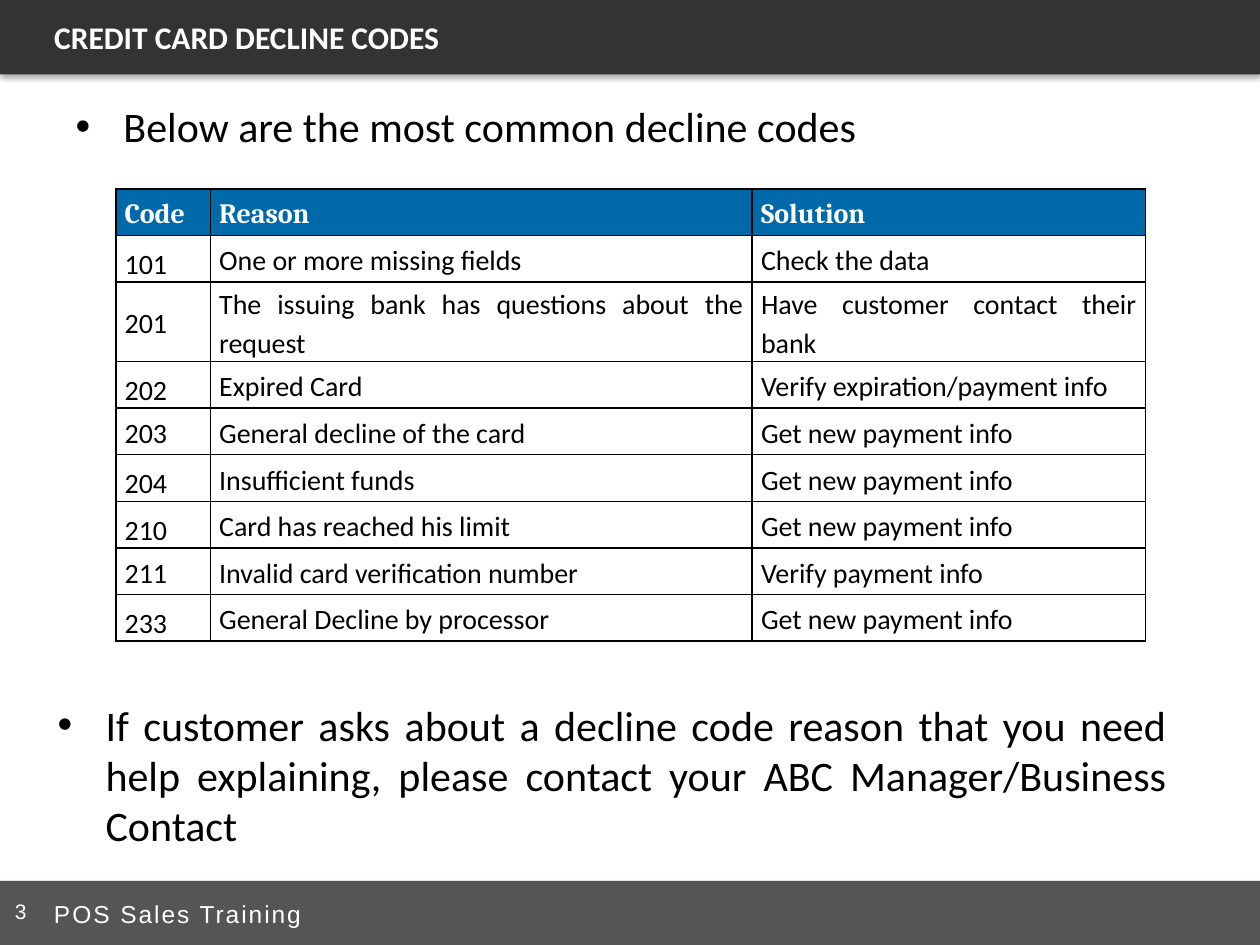
import pptx
import pptx.util
import pptx.dml.color
import pptx.enum.shapes
import pptx.enum.text
import pptx.oxml
import pptx.oxml.ns

Inches, Pt = pptx.util.Inches, pptx.util.Pt
ANCHOR = pptx.enum.text.MSO_ANCHOR
ALIGN = pptx.enum.text.PP_ALIGN
NS = pptx.oxml.ns.nsdecls("a")

TITLE = "CREDIT CARD DECLINE CODES"
INTRO = "Below are the most common decline codes"
CLOSING = ("If customer asks about a decline code reason that you need help "
           "explaining, please contact your ABC Manager/Business Contact")
FOOTER = "POS Sales Training"
NUMBER = "3"
ROWS = [
    ("Code", "Reason", "Solution"),
    ("101", "One or more missing fields", "Check the data"),
    ("201", "The issuing bank has questions about the request",
     "Have customer contact their bank"),
    ("202", "Expired Card", "Verify expiration/payment info"),
    ("203", "General decline of the card", "Get new payment info"),
    ("204", "Insufficient funds", "Get new payment info"),
    ("210", "Card has reached his limit", "Get new payment info"),
    ("211", "Invalid card verification number", "Verify payment info"),
    ("233", "General Decline by processor", "Get new payment info"),
]
COL_WIDTHS = [0.75, 4.3, 3.12]
ROW_HEIGHT, TALL_ROW_HEIGHT = 0.37, 0.63
BOTTOM_CELLS = {(1, 0), (2, 2), (3, 0), (5, 0), (6, 0), (8, 0)}
BARS = [(0, 0.59, "333333"), (6.99, 0.51, "555555")]

HEAD = dict(name="Cambria", size=Pt(16), bold=True)
CELL = dict(name="Calibri", size=Pt(16), bold=False)
HEADING = dict(name="Calibri", size=Pt(18), bold=True)
BULLET = dict(name="Calibri", size=Pt(24), bold=False)
FOOT = dict(name="Arial", size=Pt(14))
PAGE = dict(name="Arial", size=Pt(12))


def rgb(value):
    return pptx.dml.color.RGBColor.from_string(value)


def apply(obj, values):
    for name, value in values.items():
        setattr(obj, name, value)


def place(sp, *box):
    apply(sp, dict(zip(("left", "top", "width", "height"), map(Inches, box))))


def write(tf, text, font, color, anchor=ANCHOR.TOP, **para):
    apply(tf, dict(word_wrap=True, vertical_anchor=anchor))
    p = tf.paragraphs[0]
    apply(p, para)
    r = p.add_run()
    r.text = text
    apply(r.font, font)
    r.font.color.rgb = rgb(color)
    return r


def write_bullet(sp, text):
    sp.text_frame.auto_size = pptx.enum.text.MSO_AUTO_SIZE.NONE
    write(sp.text_frame, text, BULLET, "000000",
          alignment=ALIGN.JUSTIFY, space_before=Pt(4.8))
    pPr = sp.text_frame.paragraphs[0]._p.get_or_add_pPr()
    pPr.set("marL", str(Inches(0.38)))
    pPr.set("indent", str(-Inches(0.38)))
    for xml in ('<a:buFont %s typeface="Arial"/>', '<a:buChar %s char="•"/>'):
        pPr.append(pptx.oxml.parse_xml(xml % NS))


def add_bar(s, index, top, height, color):
    sp = s.shapes.add_shape(pptx.enum.shapes.MSO_SHAPE.RECTANGLE, 0,
                            Inches(top), Inches(10), Inches(height))
    sp.fill.solid()
    sp.fill.fore_color.rgb = rgb(color)
    sp.line.fill.background()
    sp.shadow.inherit = False
    effects = sp._element.spPr.find(pptx.oxml.ns.qn("a:effectLst"))
    effects.append(pptx.oxml.parse_xml(
        f'<a:outerShdw {NS} blurRad="{Pt(3.1)}" dist="{Pt(1.8)}" dir="5400000" '
        'rotWithShape="0"><a:srgbClr val="000000"><a:alpha val="35000"/>'
        '</a:srgbClr></a:outerShdw>'))
    s.shapes._spTree.insert(2 + index, sp._element)


def add_text(s, *box):
    return s.shapes.add_textbox(*map(Inches, box))


def format_cell(cell, text, header, anchor):
    apply(cell, dict(margin_left=Inches(0.07), margin_right=Inches(0.07),
                     margin_top=0, margin_bottom=0))
    write(cell.text_frame, text, HEAD if header else CELL,
          "FFFFFF" if header else "000000",
          alignment=ALIGN.JUSTIFY, line_spacing=1.15)
    cell.vertical_anchor = anchor
    tcPr = cell._tc.get_or_add_tcPr()
    for side in "LRTB":
        tcPr.append(pptx.oxml.parse_xml(
            f'<a:ln{side} {NS} w="{Pt(1)}"><a:solidFill>'
            f'<a:srgbClr val="000000"/></a:solidFill></a:ln{side}>'))
    cell.fill.solid()
    cell.fill.fore_color.rgb = rgb("0069AA" if header else "FFFFFF")


def add_codes(s):
    heights = [TALL_ROW_HEIGHT if row[0] == "201" else ROW_HEIGHT for row in ROWS]
    table = s.shapes.add_table(
        len(ROWS), len(COL_WIDTHS), Inches(0.92), Inches(1.5),
        Inches(sum(COL_WIDTHS)), Inches(sum(heights))).table
    table.horz_banding = False
    for col, width in zip(table.columns, COL_WIDTHS):
        col.width = Inches(width)
    for i, (row, height) in enumerate(zip(ROWS, heights)):
        table.rows[i].height = Inches(height)
        for j, text in enumerate(row):
            anchor = ANCHOR.BOTTOM if (i, j) in BOTTOM_CELLS else ANCHOR.MIDDLE
            format_cell(table.cell(i, j), text, i == 0, anchor)


def main():
    prs = pptx.Presentation()
    apply(prs, dict(slide_width=Inches(10), slide_height=Inches(7.5)))
    s = prs.slides.add_slide(prs.slide_layouts[1])
    title, body = s.placeholders
    for i, bar in enumerate(BARS):
        add_bar(s, i, *bar)
    place(title, 0.33, 0, 9.67, 0.58)
    write(title.text_frame, TITLE, HEADING, "FFFFFF", ANCHOR.MIDDLE,
          alignment=ALIGN.LEFT)
    place(body, 0.5, 0.75, 9, 0.5)
    write_bullet(body, INTRO)
    add_codes(s)
    write_bullet(add_text(s, 0.36, 5.5, 9, 1.33), CLOSING)
    write(add_text(s, 0.02, 7.08, 2.31, 0.42).text_frame, NUMBER, PAGE, "FFFFFF")
    r = write(add_text(s, 0.33, 7, 2.75, 0.5).text_frame, FOOTER, FOOT,
              "FFFFFF", ANCHOR.MIDDLE)
    r.font._element.set("spc", "110")
    prs.save("out.pptx")


if __name__ == "__main__":
    main()
